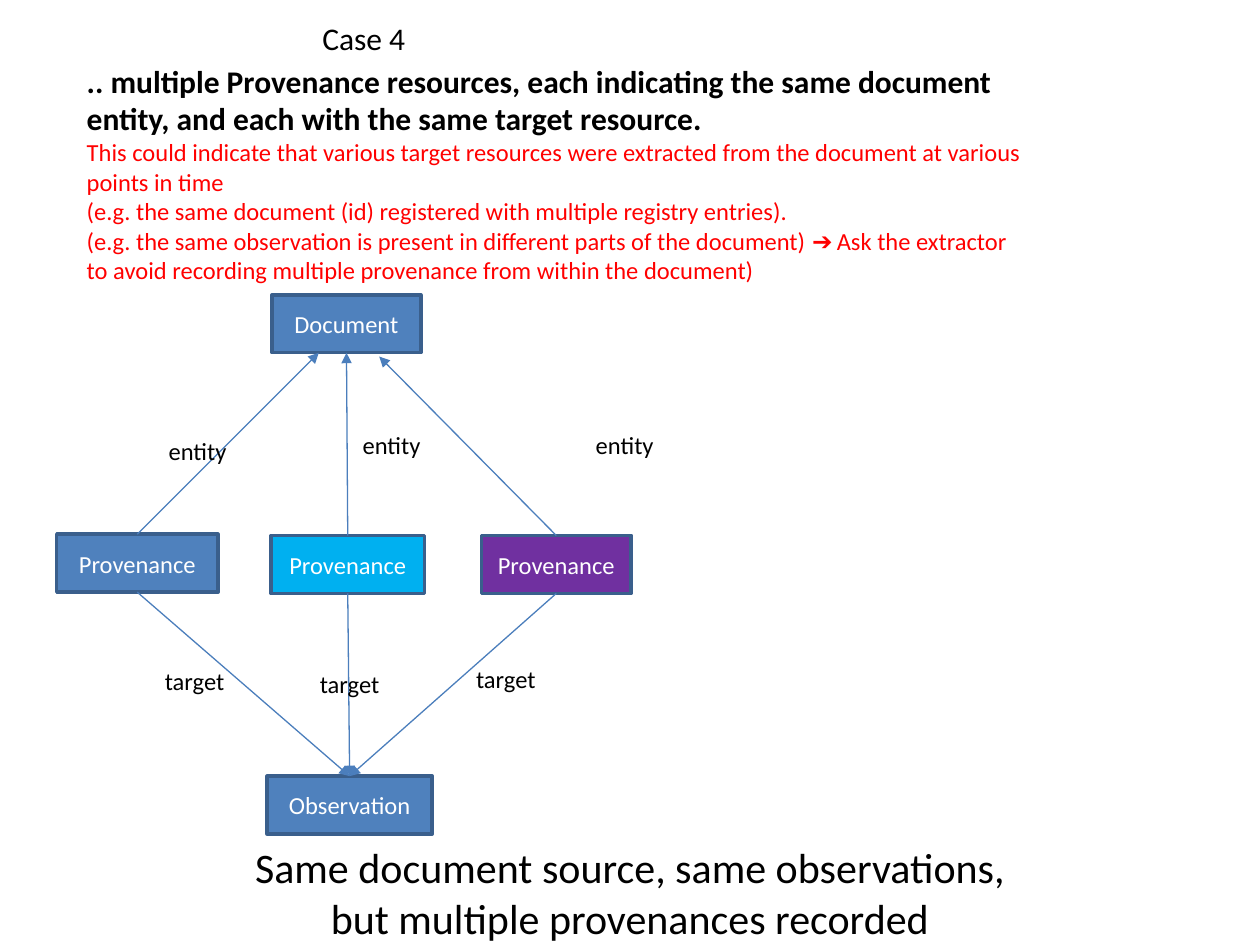
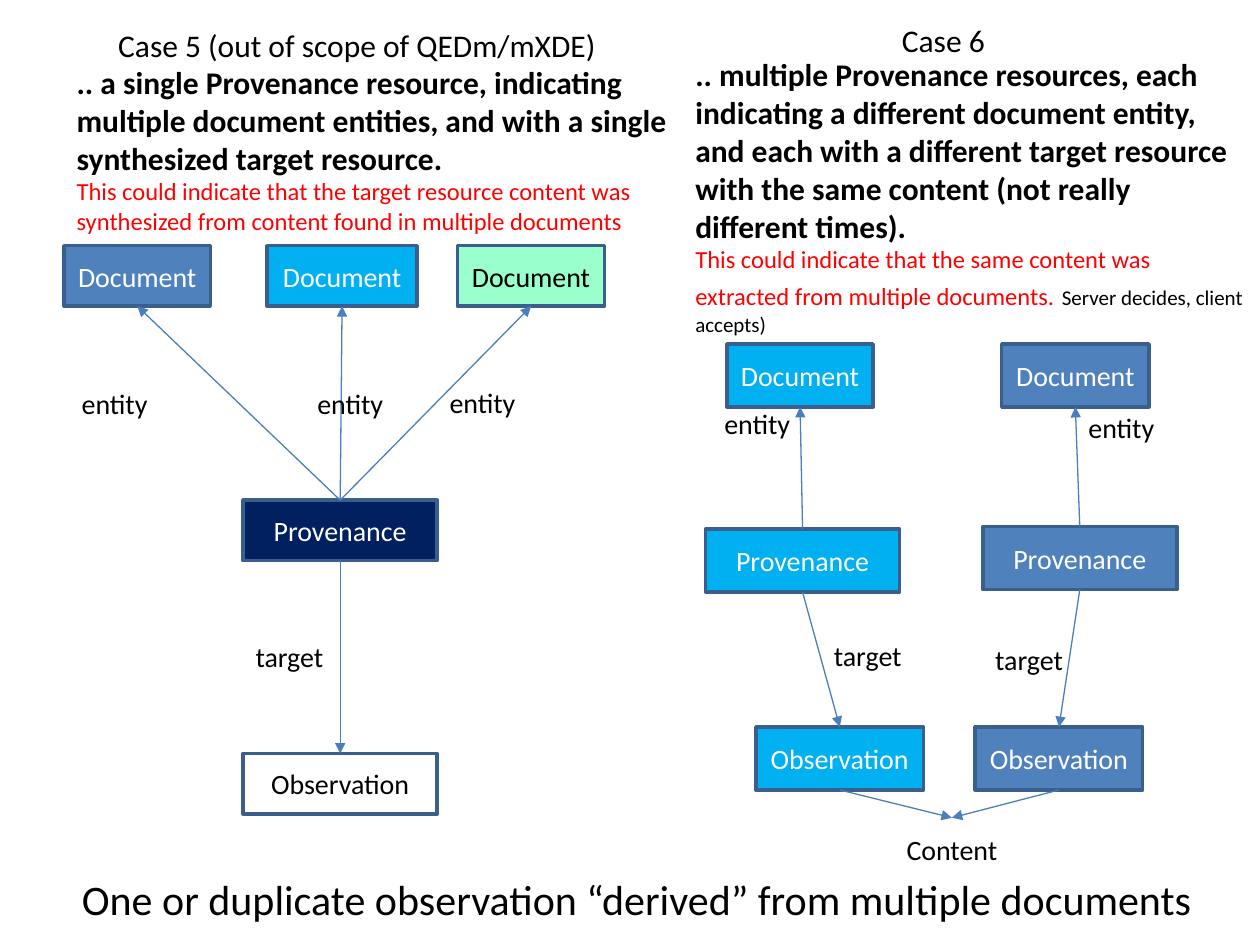
import lxml.etree
import pptx
import pptx.dml.color
import pptx.enum.shapes
import pptx.enum.text
import pptx.oxml
import pptx.oxml.ns
import pptx.util

FONT = "Calibri"
BLUE, SKY, PURPLE, NAVY, MINT = "4F81BD", "00B0F0", "7030A0", "002060", "99FFCC"
WHITE, BLACK, RED, EDGE, ARROW = "FFFFFF", "000000", "FF0000", "3A5F8C", "4B7EBC"
COLUMNS, ROWS = 100, 75
LEFT, CENTER = pptx.enum.text.PP_ALIGN.LEFT, pptx.enum.text.PP_ALIGN.CENTER
TOP, BOTTOM = 0, 2

deck = pptx.Presentation()
deck.slide_width = pptx.util.Inches(10)
deck.slide_height = pptx.util.Inches(7.5)


def paint(target, colour):
    if hasattr(target, "solid"):
        target.solid()
        target = target.fore_color
    target.rgb = pptx.dml.color.RGBColor.from_string(colour)


def grid(*cells):
    units = (deck.slide_width / COLUMNS, deck.slide_height / ROWS)
    return [round(cell * units[i % 2]) for i, cell in enumerate(cells)]


cases = [
    {
        "statement": "Same document source, same observations, but multiple provenances recorded",
        "statement_area": (17.7, 66.3, 64.6, 9.1),
        "statement_align": CENTER,
        "size": 14,
        "passages": [
            ((24.6, 1, 10, 4), [[("Case 4", 18, False, BLACK)]]),
            ((5.9, 4.4, 76.3, 18.8), [
                [(".. multiple Provenance resources, each indicating the same document entity, "
                  "and each with the same target resource. ", 18, True, BLACK),
                 "\n",
                 ("This could indicate that various target resources were extracted from the "
                  "document at various points in time", 14, False, RED)],
                [("(e.g. the same document (id) registered with multiple registry entries).",
                  14, False, RED)],
                [("(e.g. the same observation is present in different parts of the document) "
                  "➔ Ask the extractor to avoid recording multiple provenance from within the "
                  "document)", 14, False, RED)],
            ]),
        ],
        "resources": {
            "document": ("Document", (21.6, 23.4, 11.8, 4.6), BLUE),
            "first": ("Provenance", (4.5, 42.4, 12.8, 4.6), BLUE),
            "second": ("Provenance", (21.5, 42.5, 12.2, 4.6), SKY),
            "third": ("Provenance", (38.2, 42.5, 11.9, 4.6), PURPLE),
            "observation": ("Observation", (21.2, 61.6, 13.1, 4.6), BLUE),
        },
        "entities": [("first", (25.3, 28)), ("second", "document"), ("third", (30.1, 28.3))],
        "targets": [("first", "observation"), ("second", "observation"), ("third", "observation")],
        "labels": {
            "entity": [(12.4, 34.1), (27.8, 33.6), (46.3, 33.6)],
            "target": [(12.1, 52.4), (24.4, 52.6), (36.8, 52.2)],
        },
    },
    {
        "statement": "One or duplicate observation “derived” from multiple documents",
        "statement_area": (5.5, 68.8, 91.4, 5),
        "statement_align": LEFT,
        "size": 16,
        "passages": [
            ((8.4, 1.6, 42, 4), [[("Case 5 (out of scope of QEDm/mXDE)", 18, False, BLACK)]]),
            ((5.1, 4.5, 52.7, 14.8), [
                [(".. a single Provenance resource, indicating multiple document entities, and "
                  "with a single synthesized target resource.", 18, True, BLACK),
                 "\n",
                 ("This could indicate that the target resource content was synthesized from "
                  "content found in multiple documents", 14, False, RED)],
            ]),
            ((70.6, 1.2, 10, 4), [[("Case 6", 18, False, BLACK)]]),
            ((54.2, 3.9, 45.8, 23.6), [
                [(".. multiple Provenance resources, each indicating a different document entity, "
                  "and each with a different target resource with the same content (not really "
                  "different times). ", 18, True, BLACK),
                 "\n",
                 ("This could indicate that the same content was extracted from multiple "
                  "documents.", 14, False, RED),
                 (" ", 18, False, BLACK),
                 ("Server decides, client accepts)", 12, False, BLACK)],
            ]),
        ],
        "resources": {
            "document 1": ("Document", (5.1, 19.5, 11.6, 4.8), BLUE),
            "document 2": ("Document", (21.2, 19.5, 11.9, 4.8), SKY),
            "document 3": ("Document", (36.3, 19.5, 11.7, 4.8), MINT),
            "synthesis": ("Provenance", (19.3, 39.7, 15.4, 4.8), NAVY),
            "single": ("Observation", (19.3, 59.8, 15.4, 4.8), WHITE),
            "document 4": ("Document", (57.7, 27.3, 11.6, 5), SKY),
            "document 5": ("Document", (79.5, 27.3, 11.7, 5), BLUE),
            "sky": ("Provenance", (56, 42, 15.4, 5), SKY),
            "blue": ("Provenance", (78, 41.8, 15.4, 5), BLUE),
            "sky result": ("Observation", (60, 57.7, 13.3, 5), SKY),
            "blue result": ("Observation", (77.4, 57.7, 13.3, 5), BLUE),
            "content": ("Content", (68.9, 64.9, 13.3, 5), WHITE),
        },
        "entities": [("synthesis", "document 1"), ("synthesis", "document 2"),
                     ("synthesis", "document 3"), ("sky", "document 4"), ("blue", "document 5")],
        "targets": [("synthesis", "single"), ("sky", "sky result"), ("blue", "blue result"),
                    ("sky result", "content"), ("blue result", "content")],
        "labels": {
            "entity": [(5.5, 30.2), (24.2, 30.2), (34.7, 30.1), (56.5, 31.8), (85.4, 32.1)],
            "target": [(19.3, 50.3), (65.2, 50.2), (78, 50.5)],
        },
    },
]

for case in cases:
    slide = deck.slides.add_slide(deck.slide_layouts[5])
    title = slide.shapes.title
    title.left, title.top, title.width, title.height = grid(*case["statement_area"])
    title.text_frame.text = case["statement"]
    title.text_frame.auto_size = pptx.enum.text.MSO_AUTO_SIZE.NONE
    title.text_frame.vertical_anchor = pptx.enum.text.MSO_ANCHOR.TOP
    statement = title.text_frame.paragraphs[0]
    statement.alignment = case["statement_align"]
    statement.font.name = FONT
    statement.font.size = pptx.util.Pt(24)
    paint(statement.font.color, BLACK)

    resources = {}
    for key, (label, area, fill) in case["resources"].items():
        resource = slide.shapes.add_shape(pptx.enum.shapes.MSO_SHAPE.RECTANGLE, *grid(*area))
        resource.shadow.inherit = False
        paint(resource.fill, fill)
        if key == "content":
            resource.line.fill.background()
        else:
            paint(resource.line.fill, EDGE)
            resource.line.width = pptx.util.Pt(2)
        frame = resource.text_frame
        frame.text = label
        frame.margin_left = frame.margin_right = 0
        frame.vertical_anchor = pptx.enum.text.MSO_ANCHOR.MIDDLE
        caption = frame.paragraphs[0]
        caption.alignment = CENTER
        caption.font.name = FONT
        caption.font.size = pptx.util.Pt(case["size"])
        paint(caption.font.color, BLACK if fill in (WHITE, MINT) else WHITE)
        resources[key] = resource

    links = [(start, end, TOP, BOTTOM) for start, end in case["entities"]]
    links += [(start, end, BOTTOM, TOP) for start, end in case["targets"]]
    for start, end, start_side, end_side in links:
        tip = (0, 0) if end in resources else end
        link = slide.shapes.add_connector(
            pptx.enum.shapes.MSO_CONNECTOR.STRAIGHT, 0, 0, *grid(*tip))
        link.begin_connect(resources[start], start_side)
        if end in resources:
            link.end_connect(resources[end], end_side)
        paint(link.line.fill, ARROW)
        link.line.width = pptx.util.Pt(0.75)
        arrowhead = lxml.etree.SubElement(link.line._get_or_add_ln(), pptx.oxml.ns.qn("a:tailEnd"))
        arrowhead.set("type", "triangle")
        lxml.etree.SubElement(link._element.spPr, pptx.oxml.ns.qn("a:effectLst"))

    passages = case["passages"] + [
        ((*corner, 10, 3.2), [[(word, case["size"], False, BLACK)]])
        for word, corners in case["labels"].items()
        for corner in corners
    ]
    for area, paragraphs in passages:
        frame = slide.shapes.add_textbox(*grid(*area)).text_frame
        frame.word_wrap = True
        for index, pieces in enumerate(paragraphs):
            paragraph = frame.add_paragraph() if index else frame.paragraphs[0]
            for piece in pieces:
                if piece == "\n":
                    paragraph.add_line_break()
                    continue
                text, size, bold, colour = piece
                run = paragraph.add_run()
                run.text = text
                font = paragraph.font if len(pieces) == 1 else run.font
                font.name = FONT
                font.size = pptx.util.Pt(size)
                font.bold = bold
                paint(font.color, colour)

deck.save("out.pptx")
